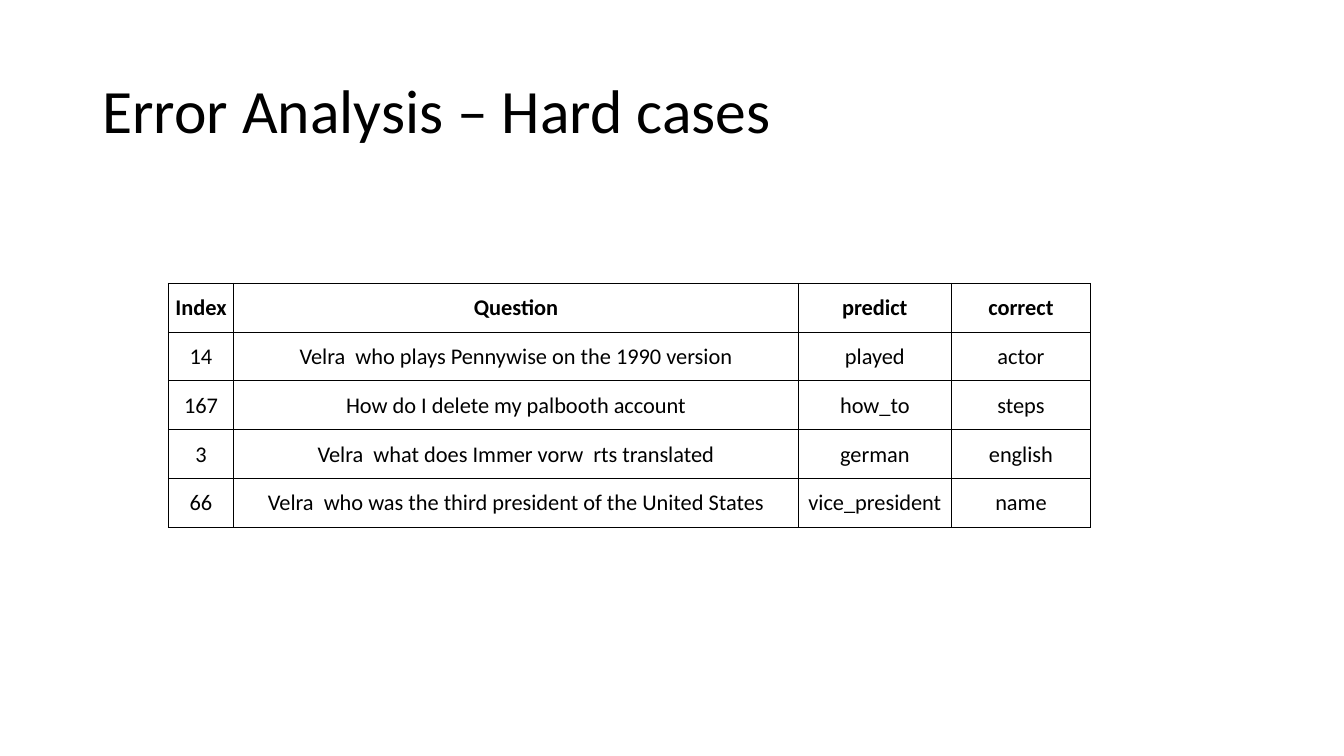
from dataclasses import dataclass

from lxml import etree
from pptx import Presentation
from pptx import util as u
from pptx.dml import color
from pptx.enum import text as t
from pptx.oxml import ns


@dataclass(frozen=True)
class Theme:
    """Colours, font, type sizes and line width of the slide."""
    font: str = "Calibri"
    ink: str = "000000"
    title_size: float = 44
    cell_size: float = 16
    border_width: float = 0.5


@dataclass(frozen=True)
class Case:
    """One table row: a question with its predicted and correct answers."""
    index: str
    question: str
    predict: str
    correct: str

    def values(self) -> tuple[str, ...]:
        """Return the row's texts in column order."""
        return self.index, self.question, self.predict, self.correct


THEME = Theme()
HEADINGS = Case("Index", "Question", "predict", "correct")
HARD_CASES = [
    Case("14", "Velra  who plays Pennywise on the 1990 version", "played", "actor"),
    Case("167", "How do I delete my palbooth account", "how_to", "steps"),
    Case("3", "Velra  what does Immer vorw  rts translated", "german", "english"),
    Case("66", "Velra  who was the third president of the United States",
         "vice_president", "name"),
]
COLUMN_WIDTHS = (46.8, 403.2, 109.4, 99.4)
ROW_HEIGHT = 34.85


def style_paragraph(paragraph, size: float, align, bold: bool = False) -> None:
    """Align a paragraph and format its runs."""
    paragraph.alignment = align
    for run in paragraph.runs:
        run.font.name = THEME.font
        run.font.size = u.Pt(size)
        run.font.bold = bold
        run.font.color.rgb = color.RGBColor.from_string(THEME.ink)


def add_borders(cell) -> None:
    """Draw a thin solid line on all four sides of a cell."""
    properties = cell._tc.get_or_add_tcPr()
    for side in ("lnL", "lnR", "lnT", "lnB"):
        line = etree.SubElement(properties, ns.qn(f"a:{side}"),
                                w=str(u.Pt(THEME.border_width)))
        fill = etree.SubElement(line, ns.qn("a:solidFill"))
        etree.SubElement(fill, ns.qn("a:srgbClr"), val=THEME.ink)


def fill_cell(cell, value: str, bold: bool) -> None:
    """Write one centred value into a bordered cell without fill."""
    cell.text_frame.text = value
    style_paragraph(cell.text_frame.paragraphs[0], THEME.cell_size,
                    t.PP_ALIGN.CENTER, bold)
    cell.vertical_anchor = t.MSO_ANCHOR.MIDDLE
    cell.margin_left = cell.margin_right = cell.margin_top = u.Pt(0.7)
    cell.margin_bottom = u.Pt(0)
    add_borders(cell)
    cell.fill.background()


def add_title(slide, heading: str) -> None:
    """Place and format the title placeholder."""
    title = slide.shapes.title
    title.left, title.top = u.Pt(66), u.Pt(28.8)
    title.width, title.height = u.Pt(828), u.Pt(104.4)
    frame = title.text_frame
    frame.text = heading
    frame.auto_size = t.MSO_AUTO_SIZE.NONE
    frame.vertical_anchor = t.MSO_ANCHOR.MIDDLE
    frame.paragraphs[0].line_spacing = 0.9
    style_paragraph(frame.paragraphs[0], THEME.title_size, t.PP_ALIGN.LEFT)


def add_case_table(slide, cases: list[Case]) -> None:
    """Add the headings and one row per case."""
    rows = [HEADINGS, *cases]
    table = slide.shapes.add_table(
        len(rows), len(COLUMN_WIDTHS), u.Pt(120.2), u.Pt(202.3),
        u.Pt(sum(COLUMN_WIDTHS)), u.Pt(ROW_HEIGHT * len(rows))).table
    table.first_row = table.horz_banding = False
    for column, width in zip(table.columns, COLUMN_WIDTHS):
        column.width = u.Pt(width)
    for row, case in zip(table.rows, rows):
        row.height = u.Pt(ROW_HEIGHT)
        for cell, value in zip(row.cells, case.values()):
            fill_cell(cell, value, bold=case is HEADINGS)


def main() -> None:
    """Build and save the slide."""
    deck = Presentation()
    deck.slide_width, deck.slide_height = u.Pt(960), u.Pt(540)
    slide = deck.slides.add_slide(deck.slide_layouts.get_by_name("Title Only"))
    add_title(slide, "Error Analysis – Hard cases")
    add_case_table(slide, HARD_CASES)
    deck.save("out.pptx")


main()
